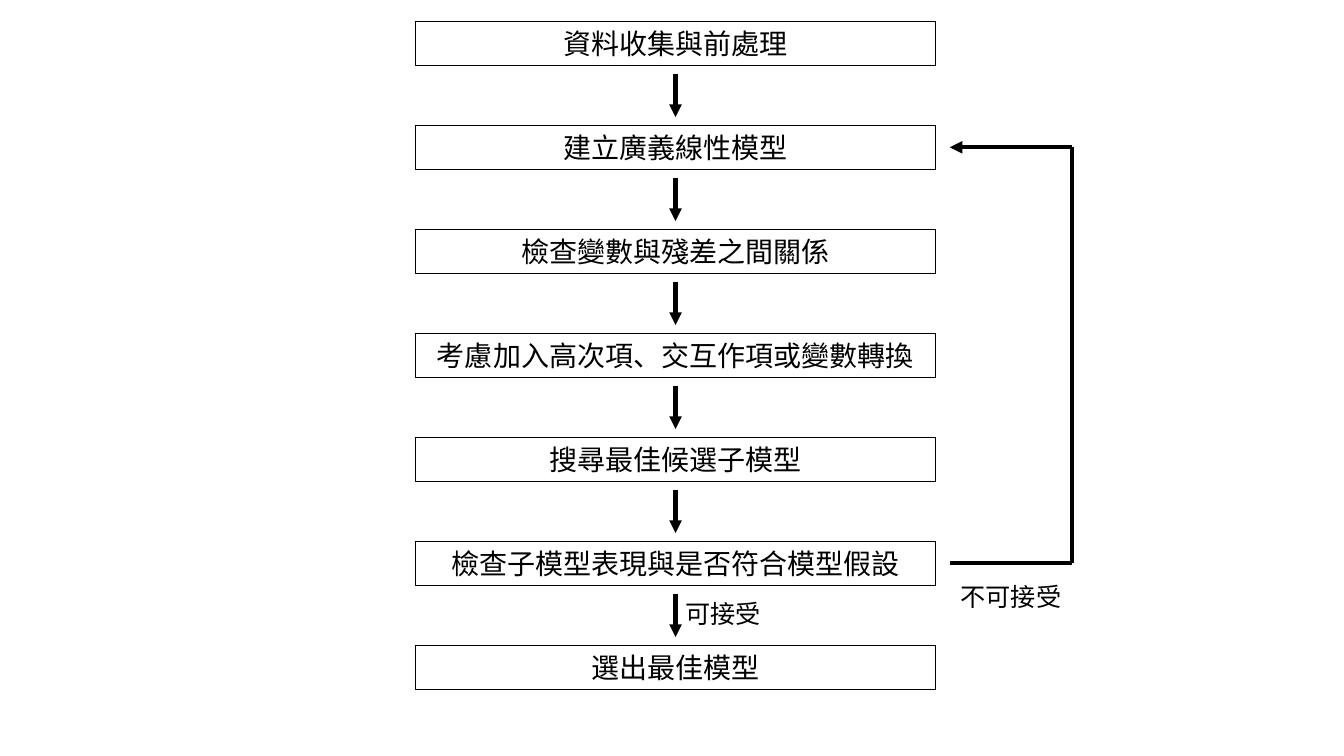
from dataclasses import dataclass

from lxml import etree
from pptx import Presentation
from pptx.dml.color import RGBColor
from pptx.enum.shapes import MSO_CONNECTOR, MSO_SHAPE
from pptx.enum.text import MSO_ANCHOR, PP_ALIGN
from pptx.oxml.ns import qn
from pptx.util import Inches, Pt

RECTANGLE = MSO_SHAPE.RECTANGLE
STRAIGHT = MSO_CONNECTOR.STRAIGHT
MIDDLE = MSO_ANCHOR.MIDDLE
LEFT = PP_ALIGN.LEFT
CENTER = PP_ALIGN.CENTER


@dataclass(frozen=True)
class Theme:
    ink: RGBColor = RGBColor(0, 0, 0)
    font: str = "Noto Sans CJK SC"
    step_size: int = 20
    label_size: int = 18
    border: float = 0.75
    arrow: float = 3


@dataclass(frozen=True)
class Box:
    left: float
    top: float
    width: float
    height: float

    @property
    def right(self):
        return self.left + self.width

    @property
    def bottom(self):
        return self.top + self.height

    @property
    def center(self):
        return self.left + self.width / 2

    @property
    def middle(self):
        return self.top + self.height / 2

    def lengths(self):
        return [Inches(n) for n in (self.left, self.top, self.width, self.height)]


THEME = Theme()
STEPS = (
    "資料收集與前處理",
    "建立廣義線性模型",
    "檢查變數與殘差之間關係",
    "考慮加入高次項、交互作項或變數轉換",
    "搜尋最佳候選子模型",
    "檢查子模型表現與是否符合模型假設",
    "選出最佳模型",
)
MODEL_STEP, CHECK_STEP = 1, 5
STEP_HEIGHT = 0.44
ARROW_GAP = 0.08
LOOP_GAP = 0.14
LOOP_WIDTH = 1.21
LABEL_HEIGHT = 0.4


def write_text(shape, text, size, align, wrap):
    frame = shape.text_frame
    frame.word_wrap = wrap
    frame.vertical_anchor = MIDDLE
    frame.margin_top = frame.margin_bottom = 0
    para = frame.paragraphs[0]
    para.text = text
    para.alignment = align
    font = para.font
    font.size = Pt(size)
    font.name = THEME.font
    font.color.rgb = THEME.ink
    defaults = para._p.pPr.find(qn("a:defRPr"))
    etree.SubElement(defaults, qn("a:ea"), typeface=THEME.font)


def add_step(page, box, text):
    step = page.shapes.add_shape(RECTANGLE, *box.lengths())
    step.shadow.inherit = False
    step.fill.background()
    step.line.color.rgb = THEME.ink
    step.line.width = Pt(THEME.border)
    write_text(step, text, THEME.step_size, CENTER, True)


def add_label(page, box, text, align):
    label = page.shapes.add_textbox(*box.lengths())
    write_text(label, text, THEME.label_size, align, False)


def add_line(page, start, end, arrow=False):
    ends = [Inches(n) for n in (*start, *end)]
    connector = page.shapes.add_connector(STRAIGHT, *ends)
    connector.line.color.rgb = THEME.ink
    connector.line.width = Pt(THEME.arrow)
    properties = connector._element.spPr
    if arrow:
        outline = properties.find(qn("a:ln"))
        etree.SubElement(outline, qn("a:tailEnd"), type="triangle")
    etree.SubElement(properties, qn("a:effectLst"))


def add_steps(page, area):
    pitch = (area.height - STEP_HEIGHT) / (len(STEPS) - 1)
    boxes = [
        Box(area.left, area.top + index * pitch, area.width, STEP_HEIGHT)
        for index in range(len(STEPS))
    ]
    for box, text in zip(boxes, STEPS):
        add_step(page, box, text)
    for upper, lower in zip(boxes, boxes[1:]):
        add_line(
            page,
            (area.center, upper.bottom + ARROW_GAP),
            (area.center, lower.top - ARROW_GAP),
            arrow=True,
        )
    accepted = Box(area.center, boxes[CHECK_STEP].bottom + ARROW_GAP, 0.96, LABEL_HEIGHT)
    add_label(page, accepted, "可接受", LEFT)
    return boxes


def add_return_loop(page, loop):
    add_line(page, (loop.right, loop.top), (loop.left, loop.top), arrow=True)
    add_line(page, (loop.right, loop.bottom), (loop.left, loop.bottom))
    add_line(page, (loop.right, loop.bottom), (loop.right, loop.top))
    rejected = Box(loop.left, loop.bottom + 0.13, loop.width, LABEL_HEIGHT)
    add_label(page, rejected, "不可接受", CENTER)


def build_flowchart(page, area):
    boxes = add_steps(page, area)
    target, source = boxes[MODEL_STEP], boxes[CHECK_STEP]
    height = source.middle - target.middle
    add_return_loop(page, Box(area.right + LOOP_GAP, target.middle, LOOP_WIDTH, height))


def main():
    deck = Presentation()
    deck.slide_width = Inches(13.33)
    deck.slide_height = Inches(7.5)
    page = deck.slides.add_slide(deck.slide_layouts[6])
    build_flowchart(page, Box(4.12, 0.21, 5.16, 6.63))
    deck.save("out.pptx")


if __name__ == "__main__":
    main()
